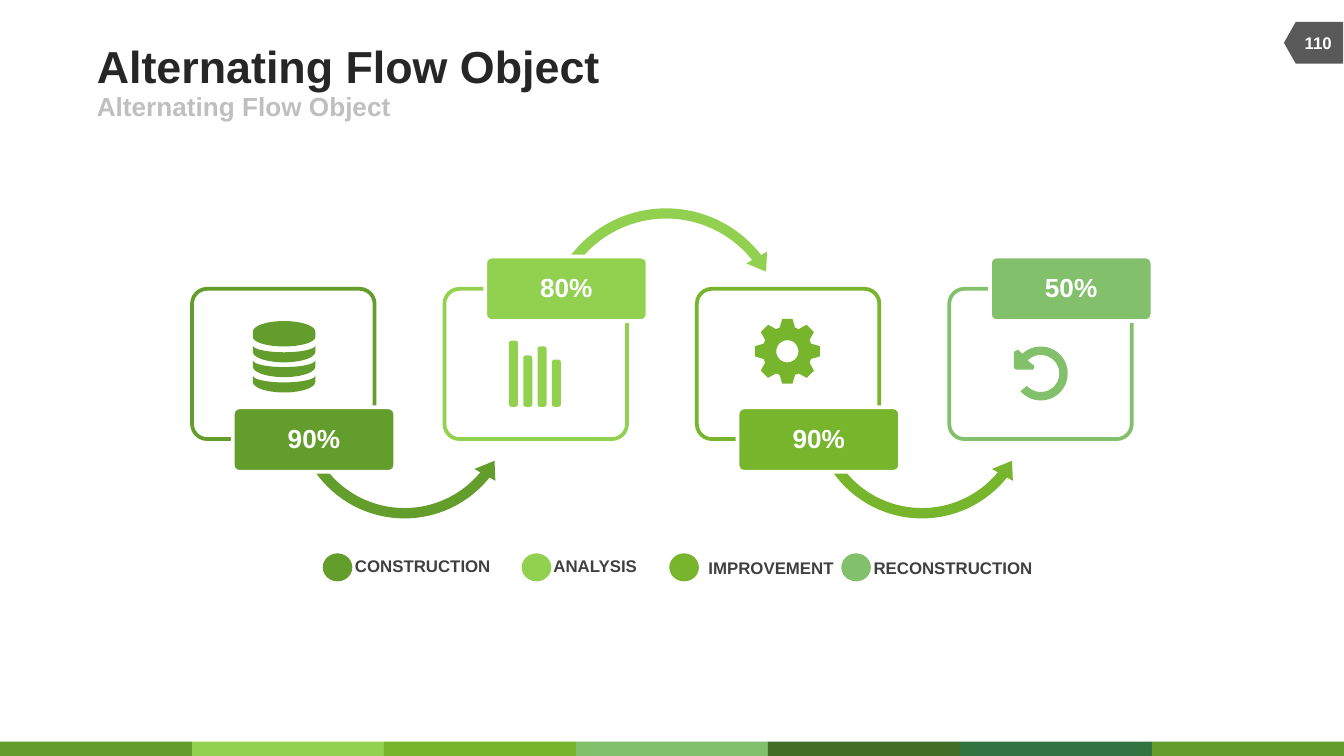
from dataclasses import dataclass
from math import cos, radians, sin

from pptx import Presentation
from pptx.dml.color import RGBColor
from pptx.enum import shapes as kinds, text as styles
from pptx.util import Cm, Pt

Kind = kinds.MSO_SHAPE
Align = styles.PP_ALIGN
Anchor = styles.MSO_ANCHOR


@dataclass(frozen=True)
class Theme:
    font: str = "Arial"
    title: str = "262626"
    subtitle: str = "BFBFBF"
    legend: str = "404040"
    tag: str = "595959"
    white: str = "FFFFFF"
    steps: tuple = ("639D2C", "92D050", "77B52D", "82C06C")
    footer: tuple = steps + ("406E26", "307240", "639D2C")
    title_size: int = 24
    label_size: int = 14
    small_size: int = 9
    line: int = 2


@dataclass(frozen=True)
class Box:
    """An area in centimetres."""
    left: float
    top: float
    width: float
    height: float

    def inner(self, x, y, width, height):
        return Box(self.left + x, self.top + y, width, height)

    def lengths(self):
        return [Cm(n) for n in (self.left, self.top, self.width, self.height)]


THEME = Theme()


def paint(shape, fill=None, line=None):
    shape.shadow.inherit = False
    if fill:
        shape.fill.solid()
        shape.fill.fore_color.rgb = RGBColor.from_string(fill)
    else:
        shape.fill.background()
    if line:
        shape.line.color.rgb = RGBColor.from_string(line)
        shape.line.width = Pt(THEME.line)
    else:
        shape.line.fill.background()
    return shape


def add_preset(page, kind, box, fill=None, line=None, adjustments=()):
    shape = page.shapes.add_shape(kind, *box.lengths())
    for index, value in enumerate(adjustments):
        shape.adjustments[index] = value
    return paint(shape, fill, line)


def write(shape, words, size, colour, align=Align.LEFT, anchor=Anchor.MIDDLE, wrap=True):
    frame = shape.text_frame
    frame.word_wrap = wrap
    frame.vertical_anchor = anchor
    frame.margin_left = frame.margin_right = frame.margin_top = frame.margin_bottom = 0
    para = frame.paragraphs[0]
    para.alignment = align
    span = para.add_run()
    span.text = words
    span.font.name, span.font.size, span.font.bold = THEME.font, Pt(size), True
    span.font.color.rgb = RGBColor.from_string(colour)
    return para


def add_words(page, box, *args, **options):
    return write(page.shapes.add_textbox(*box.lengths()), *args, **options)


# Outlines for the icons
def arc(x, y, rx, ry, start, end, count=24):
    angles = [radians(start + (end - start) * i / count) for i in range(count + 1)]
    return [(x + rx * cos(a), y + ry * sin(a)) for a in angles]


def add_outline(page, box, contours, fill):
    builder = None
    for contour in contours:
        points = [(Cm(box.left + x), Cm(box.top + y)) for x, y in contour]
        if builder is None:
            builder = page.shapes.build_freeform(*points[0])
        else:
            builder.move_to(*points[0])
        builder.add_line_segments(points[1:], close=True)
    paint(builder.convert_to_shape(), fill)


def database_icon():
    x, rx = 1.74, 0.59
    disc = arc(x, 0.81, rx, 0.2, 180, 360) + arc(x, 0.91, rx, 0.18, 0, 180)
    bands = [arc(x, 1.19 + drop, rx, 0.2, 0, 180) + arc(x, 1.07 + drop, rx, 0.13, 180, 0)
             for drop in (0, 0.28, 0.57)]
    return [disc] + bands


def bars_icon():
    left, base, pitch, width, r = 1.22, 2.23, 0.27, 0.17, 0.05
    contours = []
    for i, height in enumerate((1.25, 0.97, 1.14, 0.89)):
        x0, x1 = left + i * pitch + r, left + i * pitch + width - r
        y0, y1 = base - height + r, base - r
        corners = ((x0, y0, 180), (x1, y0, 270), (x1, y1, 0), (x0, y1, 90))
        contours.append([point for x, y, start in corners
                         for point in arc(x, y, r, r, start, start + 90, 6)])
    return contours


def gear_icon():
    x, y = 1.71, 1.18
    profile = ((-18, 0.47), (-9, 0.62), (9, 0.62), (18, 0.47))
    rim = [(x + r * cos(radians(tooth + turn)), y + r * sin(radians(tooth + turn)))
           for tooth in range(0, 360, 45) for turn, r in profile]
    return [rim, arc(x, y, 0.21, 0.21, 360, 0)]


def undo_icon():
    x, y = 1.73, 1.6
    head = ((-0.43, -0.45), (-0.51, -0.41), (-0.51, -0.1),
            (-0.46, -0.07), (-0.14, -0.07), (-0.12, -0.14))
    return [arc(x, y, 0.51, 0.51, 139, -133, 48)
            + [(x + dx, y + dy) for dx, dy in head]
            + arc(x, y, 0.35, 0.35, -135, 138, 48)]


# Regions of the page
def add_header(page, box):
    add_words(page, box.inner(0, 0, box.width, 0.99), "Alternating Flow Object",
              THEME.title_size, THEME.title)
    add_words(page, box.inner(0, 0.99, box.width, 0.56), "Alternating Flow Object",
              THEME.label_size, THEME.subtitle)


def add_page_tag(page, box):
    tag = add_preset(page, Kind.FLOWCHART_OFFPAGE_CONNECTOR,
                     box.inner(0.05, 0, 0.79, 1.12), THEME.tag)
    tag.rotation = 90
    add_words(page, box.inner(0, 0.18, 1.07, 0.76), "110", THEME.small_size,
              THEME.white, align=Align.CENTER)


def add_footer(page, box):
    width = box.width / len(THEME.footer)
    for i, colour in enumerate(THEME.footer):
        add_preset(page, Kind.RECTANGLE, box.inner(i * width, 0, width, box.height), colour)


def add_card(page, box, colour, share, contours, label_on_top):
    add_preset(page, Kind.ROUNDED_RECTANGLE, box, line=colour, adjustments=[0.1])
    label = add_preset(page, Kind.ROUNDED_RECTANGLE,
                       box.inner(0.77, -0.61 if label_on_top else 2.24, 3.07, 1.22),
                       colour, THEME.white, [0.1])
    para = write(label, share, THEME.label_size, THEME.white, Align.CENTER)
    para.line_spacing = 0.9
    add_outline(page, box, contours, colour)


def add_flow(page, box):
    green, lime, leaf, _ = THEME.steps
    # Arrows lie behind the cards
    under = (0.045, 5.658, 23.414, 90.245, 0.052)
    over = (0.04, 5.09, 193.155, 125.755, 0.047)
    for kind, x, y, size, colour, bend in (
            (Kind.LEFT_CIRCULAR_ARROW, 11.61, 0.1, 4.37, leaf, under),
            (Kind.LEFT_CIRCULAR_ARROW, 1.83, 0.1, 4.37, green, under),
            (Kind.CIRCULAR_ARROW, 6.56, -1.65, 4.8, lime, over)):
        add_preset(page, kind, box.inner(x, y, size, size), colour, adjustments=bend)
    # Cards carry their labels low and high in turn
    cards = (("90%", database_icon), ("80%", bars_icon), ("90%", gear_icon), ("50%", undo_icon))
    for i, (share, icon) in enumerate(cards):
        add_card(page, box.inner(i * 4.77, 0, 3.45, box.height), THEME.steps[i],
                 share, icon(), i % 2 == 1)


def add_legend(page, box):
    entries = (("CONSTRUCTION", 0, 0.61, 0.05, 2.59), ("ANALYSIS", 3.76, 0.6, 0.05, 1.63),
               ("IMPROVEMENT", 6.55, 0.74, 0.08, 2.39), ("RECONSTRUCTION", 9.8, 0.61, 0.08, 3.02))
    for colour, (words, x, gap, drop, width) in zip(THEME.steps, entries):
        add_preset(page, Kind.OVAL, box.inner(x, 0, 0.56, box.height), colour)
        add_words(page, box.inner(x + gap, drop, width, 0.38), words, THEME.small_size,
                  THEME.legend, anchor=Anchor.TOP, wrap=False)


def main():
    deck = Presentation()
    deck.slide_width, deck.slide_height = Cm(25.4), Cm(14.29)
    page = deck.slides.add_slide(deck.slide_layouts[6])
    add_footer(page, Box(0, 14.02, 25.4, 0.27))
    add_page_tag(page, Box(24.38, 0.25, 1.07, 1.12))
    add_header(page, Box(1.83, 0.74, 15.67, 1.55))
    add_legend(page, Box(6.1, 10.46, 13.43, 0.53))
    add_flow(page, Box(3.63, 5.46, 17.76, 2.84))
    deck.save("out.pptx")


if __name__ == "__main__":
    main()
